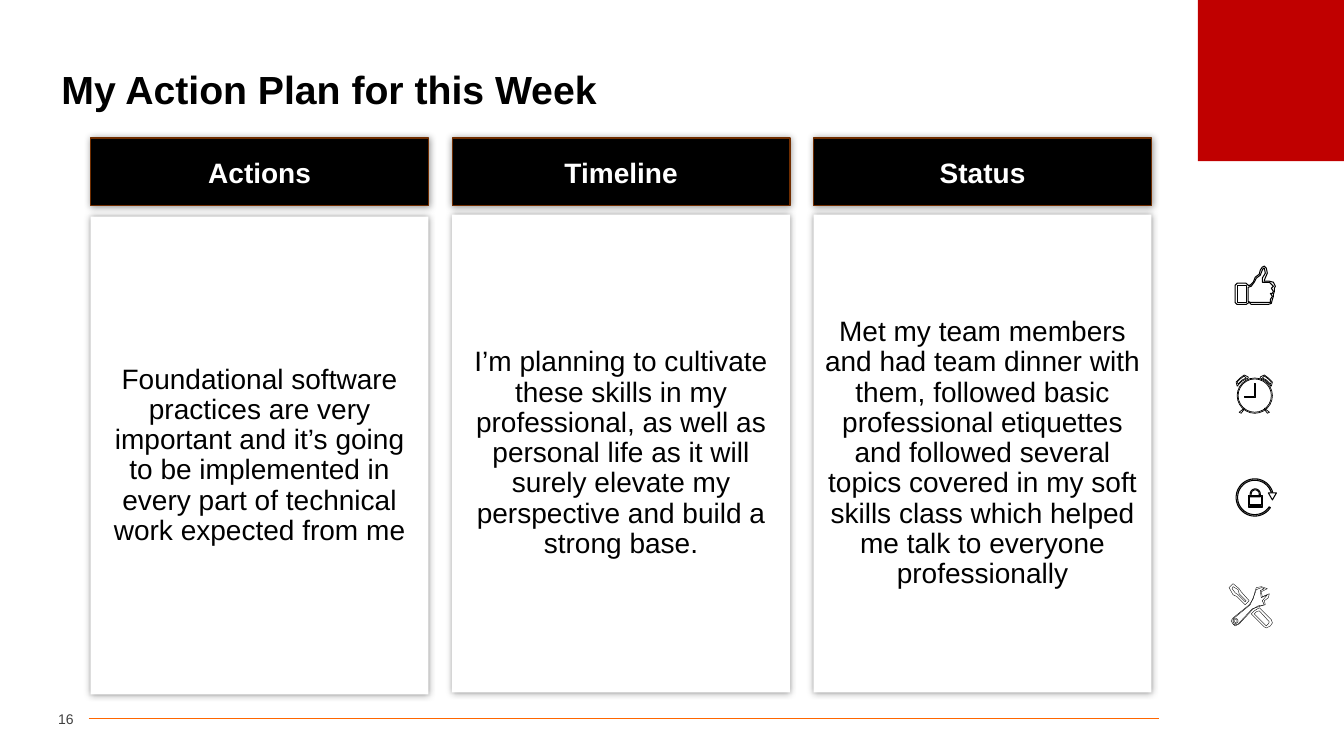
import math

from lxml import etree
from pptx import Presentation
from pptx.dml.color import RGBColor
from pptx.enum.shapes import MSO_CONNECTOR, MSO_SHAPE
from pptx.enum.text import MSO_ANCHOR, MSO_AUTO_SIZE, PP_ALIGN
from pptx.oxml.ns import qn
from pptx.util import Emu, Pt

RECTANGLE, OVAL = MSO_SHAPE.RECTANGLE, MSO_SHAPE.OVAL
STRAIGHT = MSO_CONNECTOR.STRAIGHT
MIDDLE, NO_FIT = MSO_ANCHOR.MIDDLE, MSO_AUTO_SIZE.NONE
LEFT, CENTER, RIGHT = PP_ALIGN.LEFT, PP_ALIGN.CENTER, PP_ALIGN.RIGHT

BLACK = RGBColor(0x00, 0x00, 0x00)
WHITE = RGBColor(0xFF, 0xFF, 0xFF)
RED = RGBColor(0xC0, 0x00, 0x00)
ORANGE = RGBColor(0xFF, 0x66, 0x00)
BROWN = RGBColor(0x70, 0x2D, 0x00)
GRAY = RGBColor(0x40, 0x40, 0x40)

# Fine grid: each cell is a hundredth of an inch
CELL, COLUMNS, ROWS = 9144, 1333, 750
FONT = "Arial"


def cells(*counts):
    return [Emu(round(count * CELL)) for count in counts]


def write_text(shape, text, size=20, color=BLACK, bold=False, align=CENTER,
               line_spacing=None, space_before=None):
    frame = shape.text_frame
    frame.word_wrap = True
    frame.auto_size = NO_FIT
    frame.vertical_anchor = MIDDLE
    paragraph = frame.paragraphs[0]
    paragraph.alignment = align
    paragraph.line_spacing = line_spacing
    paragraph.space_before = space_before
    run = paragraph.add_run()
    run.text = text
    run.font.name, run.font.size, run.font.bold = FONT, Pt(size), bold
    run.font.color.rgb = color


def mirror(contours, axis):
    return [[(2 * axis - column, row) for column, row in contour] for contour in contours]


def box(left, top, right, bottom):
    return [(left, top), (right, top), (right, bottom), (left, bottom)]


def arc(column, row, radius, start, end, step=6):
    return [(column + radius * math.cos(math.radians(angle)),
             row + radius * math.sin(math.radians(angle)))
            for angle in range(start, end + 1, step)]


class PlanSlide:
    def __init__(self, presentation):
        self.slide = presentation.slides.add_slide(presentation.slide_layouts[5])
        self.shapes = self.slide.shapes

    def paint(self, shape, fill, line=None, width=1):
        shape.shadow.inherit = False
        shape.fill.solid()
        shape.fill.fore_color.rgb = fill
        if line is None:
            shape.line.fill.background()
        else:
            shape.line.color.rgb = line
            shape.line.width = Pt(width)
        return shape

    def block(self, place, fill, line=None, kind=RECTANGLE, width=1, parent=None):
        shapes = parent.shapes if parent else self.shapes
        return self.paint(shapes.add_shape(kind, *cells(*place)), fill, line, width)

    def card(self, place, text, fill, line=None, **text_format):
        shape = self.block(place, fill, line)
        effects = shape._element.spPr.find(qn("a:effectLst"))
        shadow = etree.SubElement(effects, qn("a:outerShdw"), blurRad=str(Pt(5)),
                                  dist="0", dir="0", algn="ctr", rotWithShape="0")
        color = etree.SubElement(shadow, qn("a:srgbClr"), val=str(BLACK))
        etree.SubElement(color, qn("a:alpha"), val="40000")
        write_text(shape, text, **text_format)

    def title(self, place, text, **text_format):
        shape = self.shapes.title
        shape.left, shape.top, shape.width, shape.height = cells(*place)
        write_text(shape, text, **text_format)

    def label(self, place, text, **text_format):
        shape = self.shapes.add_textbox(*cells(*place))
        shape.text_frame.margin_left = shape.text_frame.margin_right = 0
        write_text(shape, text, **text_format)

    def rule(self, start, end, color, width):
        connector = self.shapes.add_connector(STRAIGHT, *cells(*start, *end))
        connector.line.color.rgb = color
        connector.line.width = Pt(width)
        etree.SubElement(connector._element.spPr, qn("a:effectLst"))

    def outline(self, contours, width, parent):
        builder = None
        for contour in contours:
            points = [cells(*point) for point in contour]
            if builder is None:
                builder = parent.shapes.build_freeform(*points[0], scale=1.0)
            else:
                builder.move_to(*points[0])
            builder.add_line_segments(points[1:], close=True)
        self.paint(builder.convert_to_shape(), WHITE, BLACK, width)

    def icon(self, left, top, outlines, width, circles=()):
        group = self.shapes.add_group_shape()
        self.block((left, top, 90, 90), WHITE, kind=OVAL, parent=group)
        for place in circles:
            self.block(place, WHITE, BLACK, OVAL, width, group)
        for contours in outlines:
            self.outline(contours, width, group)


# Icon outlines, in grid columns and rows
THUMB = [
    [(1264, 286), (1265, 284), (1263, 280), (1259, 279), (1254, 279), (1254, 278),
     (1257, 271), (1256, 266), (1254, 264), (1252, 265), (1250, 268), (1249, 272),
     (1245, 275), (1243, 280), (1240, 283), (1238, 283), (1236, 281), (1227, 281),
     (1225, 283), (1225, 300), (1227, 302), (1236, 302), (1239, 300), (1241, 302),
     (1258, 302), (1261, 301), (1262, 297), (1263, 294), (1263, 292), (1264, 289)],
    box(1227, 283, 1236, 300),
    [(1262, 285), (1261, 286), (1263, 289), (1262, 291), (1260, 291), (1262, 294),
     (1260, 297), (1260, 300), (1240, 300), (1238, 299), (1238, 285), (1241, 284),
     (1244, 280), (1246, 276), (1250, 273), (1252, 268), (1253, 266), (1254, 266),
     (1255, 271), (1252, 276), (1252, 280), (1259, 280), (1263, 284)],
]
BELL = [
    [(1260, 383), (1260, 382), (1256, 378), (1250, 375), (1250, 374), (1254, 372),
     (1258, 375), (1262, 379), (1261, 383)],
    [(1252, 375), (1256, 377), (1260, 381), (1261, 379), (1258, 376), (1254, 373)],
]
LEG = [[(1257, 410), (1254, 406), (1254, 405), (1259, 409)]]
HANDS = [[(1245, 394), (1234, 394), (1234, 393), (1244, 393), (1244, 380), (1245, 380)]]
RING = [arc(1244.5, 493.5, 18.5, 33, 357) + arc(1244.5, 493.5, 17, 33, 357)[::-1]]
ARROW = [[(1258, 489), (1262, 496), (1266, 489)]]
SHACKLE = [[(1240, 493)] + arc(1245, 490, 5, 180, 360, 20) + [(1250, 493)],
           [(1241, 492)] + arc(1245, 490, 4, 180, 360, 20) + [(1249, 492)]]
LOCK = [box(1238, 492, 1252, 503), box(1239, 493, 1251, 501)]
HANDLE = [
    [(1256, 623), (1254, 622), (1241, 609), (1244, 606), (1249, 603), (1261, 615),
     (1262, 618), (1260, 621)],
    [(1256, 621), (1258, 619), (1259, 617), (1249, 606), (1246, 607), (1244, 609)],
]
BLADE = [
    [(1235, 600), (1227, 592), (1223, 590), (1219, 583), (1223, 579), (1229, 584),
     (1231, 587), (1239, 596), (1237, 598)],
    [(1225, 588), (1228, 590), (1235, 597), (1236, 596), (1229, 589), (1228, 585),
     (1223, 582), (1222, 584)],
]
WRENCH = [
    [(1251, 582), (1246, 583), (1245, 586), (1243, 594), (1239, 600), (1223, 613),
     (1221, 616), (1223, 619), (1225, 621), (1229, 619), (1243, 604), (1248, 601),
     (1255, 600), (1254, 596), (1258, 593), (1259, 589), (1252, 592), (1251, 587),
     (1257, 584)],
    [(1251, 583), (1254, 584), (1250, 586), (1251, 593), (1257, 590), (1252, 596),
     (1254, 600), (1242, 604), (1228, 619), (1225, 620), (1223, 619), (1223, 614),
     (1240, 600), (1245, 588), (1246, 585)],
    arc(1225.5, 616, 2.5, 0, 330, 30), arc(1225.5, 616, 1.5, 0, 330, 30),
]

# Plan columns: heading, body top row, body text
PLAN = [
    ("Actions", 215, "Foundational software practices are very important and it’s going to "
     "be implemented in every part of technical work expected from me"),
    ("Timeline", 213, "I’m planning to cultivate these skills in my professional, as well as "
     "personal life as it will surely elevate my perspective and build a strong base."),
    ("Status", 213, "Met my team members and had team dinner with them, followed basic "
     "professional etiquettes and followed several topics covered in my soft skills class "
     "which helped me talk to everyone professionally"),
]
PLAN_LEFT, PLAN_PITCH, PLAN_WIDTH = 90, 358.5, 335


def main():
    presentation = Presentation()
    presentation.slide_width, presentation.slide_height = cells(COLUMNS, ROWS)
    plan = PlanSlide(presentation)

    # Frame: footer rule, corner block, title and page number
    plan.rule((88, 713), (1150, 713), ORANGE, 0.5)
    plan.block((1188, 0, 146, 160), RED)
    plan.title((51, 52, 1231, 78), "My Action Plan for this Week", size=28, bold=True,
               align=LEFT, line_spacing=0.9)
    plan.label((33, 699, 40, 29), "16", size=10, color=GRAY, align=RIGHT)

    # Plan columns
    for index, (heading, top, body) in enumerate(PLAN):
        left = PLAN_LEFT + index * PLAN_PITCH
        plan.card((left, top, PLAN_WIDTH, 474), body, WHITE,
                  line_spacing=0.9, space_before=Pt(10))
        plan.card((left, 137, PLAN_WIDTH, 67), heading, BLACK, BROWN, color=WHITE, bold=True)

    # Icons down the right edge
    plan.icon(1199, 243, [THUMB], 0.75)
    plan.icon(1199, 347, [BELL, mirror(BELL, 1244), LEG, mirror(LEG, 1244), HANDS], 0.5,
              circles=[(1227, 375, 35, 35), (1228, 376, 33, 33)])
    plan.icon(1199, 449, [RING, ARROW, SHACKLE, LOCK], 0.75)
    plan.icon(1196, 555, [HANDLE, BLADE, WRENCH], 0.25)

    presentation.save("out.pptx")


if __name__ == "__main__":
    main()
